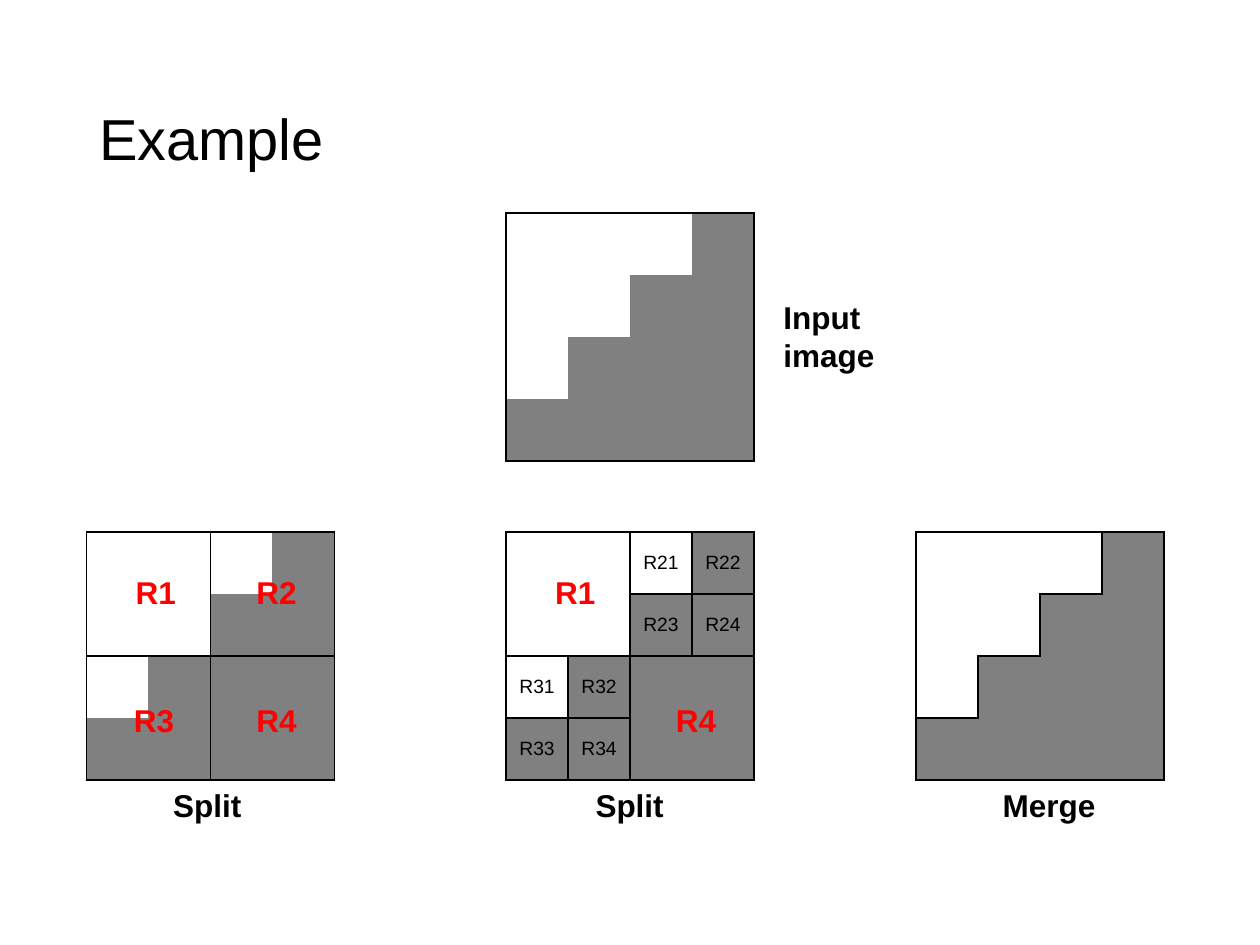
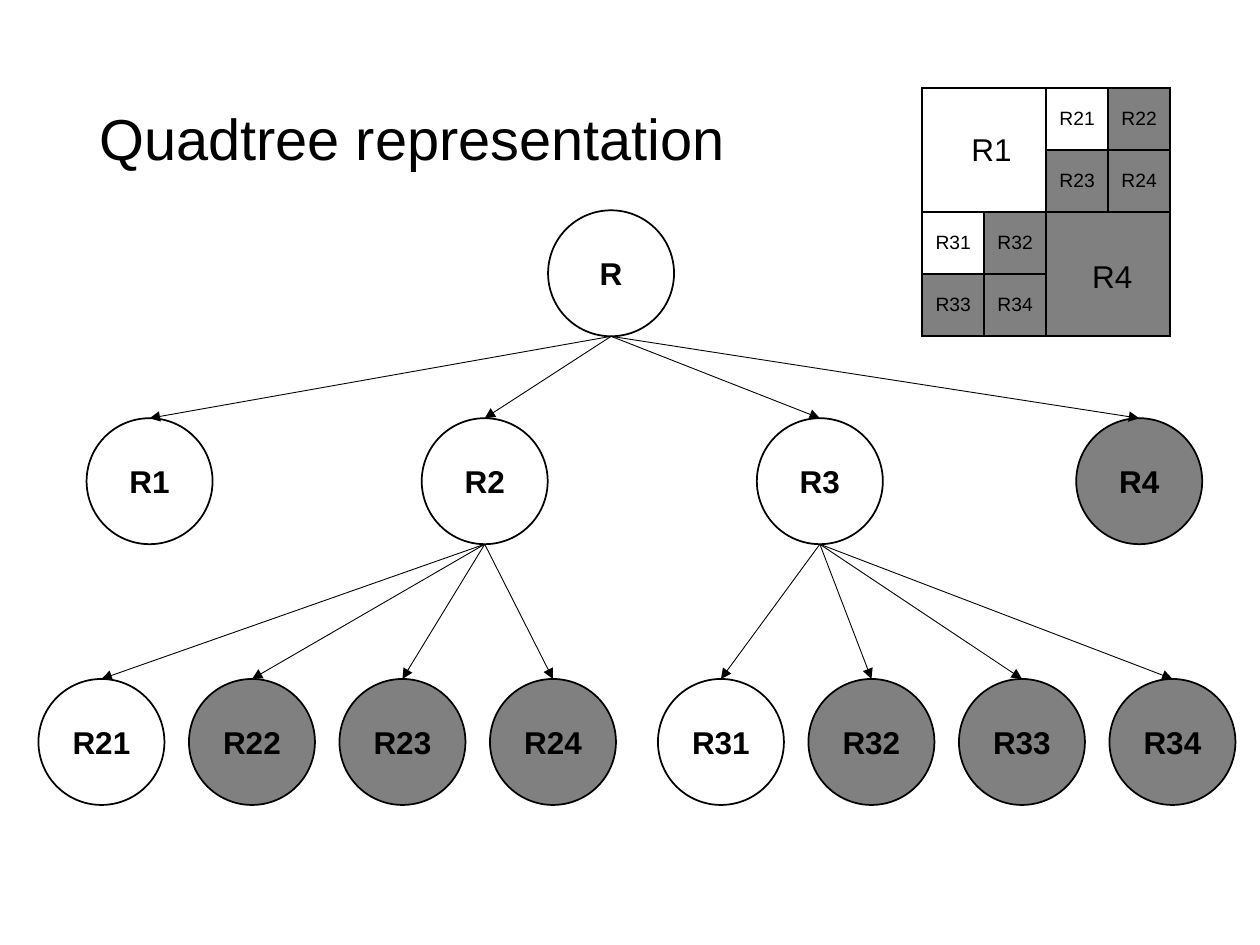
from lxml import etree
from pptx import Presentation
from pptx.dml.color import RGBColor
from pptx.enum.shapes import MSO_CONNECTOR, MSO_SHAPE
from pptx.enum.text import MSO_ANCHOR, MSO_AUTO_SIZE, PP_ALIGN
from pptx.oxml.ns import qn
from pptx.util import Pt

BLACK = RGBColor(0, 0, 0)
WHITE = RGBColor(255, 255, 255)
GRAY = RGBColor(128, 128, 128)
RED = RGBColor(255, 0, 0)

FONT = "Arial"
CELL = 35.43
CELLS = 4
NODE = 72

# Shade of each pixel, and the region each pixel belongs to at every step
SHADES = ["WWWG", "WWGG", "WGGG", "GGGG"]
WHOLE = ["RRRR"] * CELLS
QUADRANTS = [["R1", "R1", "R2", "R2"]] * 2 + [["R3", "R3", "R4", "R4"]] * 2
QUADTREE = [
    ["R1", "R1", "R21", "R22"],
    ["R1", "R1", "R23", "R24"],
    ["R31", "R32", "R4", "R4"],
    ["R33", "R34", "R4", "R4"],
]
QUADRANT_LABELS = {"R1": (21, 20.2), "R2": (90, 20.2), "R3": (20, 93), "R4": (90, 93)}

ROOT = (313.2, 120.2)
BRANCH_TOP, LEAF_TOP = 239, 388
BRANCHES = {"R1": 49.5, "R2": 241, "R3": 432.5, "R4": 615}
FIRST_LEAVES = {"R2": 22, "R3": 376}
LEAF_STEP = 86
GRAY_NODES = {"R4", "R22", "R23", "R24", "R32", "R33", "R34"}


def write(frame, text, size=18, bold=False, color=BLACK, align=PP_ALIGN.LEFT,
          anchor=MSO_ANCHOR.TOP, spacing=None):
    """Fill a text frame, one paragraph per line of text."""
    frame.text = text
    frame.vertical_anchor = anchor
    for paragraph in frame.paragraphs:
        paragraph.alignment = align
        paragraph.line_spacing = spacing
        font = paragraph.font
        font.name, font.size, font.bold = FONT, Pt(size), bold
        font.color.rgb = color


def add_label(slide, text, left, top, width, height=28.8, **style):
    frame = slide.shapes.add_textbox(Pt(left), Pt(top), Pt(width), Pt(height)).text_frame
    frame.word_wrap = False
    write(frame, text, **style)


def add_titled_slide(prs, text):
    slide = prs.slides.add_slide(prs.slide_layouts[5])
    title = slide.shapes.title
    title.left, title.top, title.width, title.height = Pt(49.5), Pt(28.8), Pt(621), Pt(104.4)
    title.text_frame.auto_size = MSO_AUTO_SIZE.NONE
    write(title.text_frame, text, size=33, anchor=MSO_ANCHOR.MIDDLE, spacing=0.9)
    return slide


def set_border(cell, side, visible):
    line = etree.SubElement(cell._tc.get_or_add_tcPr(), qn(f"a:ln{side}"),
                            w=str(Pt(1)))
    if visible:
        fill = etree.SubElement(line, qn("a:solidFill"))
        etree.SubElement(fill, qn("a:srgbClr"), val=str(BLACK))
    else:
        etree.SubElement(line, qn("a:noFill"))


def region_at(regions, row, col):
    inside = 0 <= row < CELLS and 0 <= col < CELLS
    return regions[row][col] if inside else None


def add_pixel_grid(slide, regions, left, top):
    """Draw the image as a table, with borders wherever the region changes."""
    side = Pt(CELL * CELLS)
    table = slide.shapes.add_table(CELLS, CELLS, Pt(left), Pt(top), side, side).table
    table.first_row = table.horz_banding = False
    for i in range(CELLS):
        table.columns[i].width = table.rows[i].height = Pt(CELL)
    for row, shades in enumerate(SHADES):
        for col, shade in enumerate(shades):
            cell, region = table.cell(row, col), regions[row][col]
            for edge, down, right in (("L", 0, -1), ("R", 0, 1), ("T", -1, 0), ("B", 1, 0)):
                set_border(cell, edge, region_at(regions, row + down, col + right) != region)
            cell.fill.solid()
            cell.fill.fore_color.rgb = GRAY if shade == "G" else WHITE
            cell.margin_left = cell.margin_right = 0
            cell.vertical_anchor = MSO_ANCHOR.MIDDLE
            write(cell.text_frame, region if len(region) == 3 else "", size=11,
                  align=PP_ALIGN.CENTER, anchor=None)


def add_quadrant_labels(slide, names, left, top, **style):
    for name in names:
        dx, dy = QUADRANT_LABELS[name]
        add_label(slide, name, left + dx, top + dy, 37.4, **style)


def add_node(slide, name, left, top):
    node = slide.shapes.add_shape(MSO_SHAPE.OVAL, Pt(left), Pt(top), Pt(NODE), Pt(NODE))
    node.shadow.inherit = False
    node.fill.solid()
    node.fill.fore_color.rgb = GRAY if name in GRAY_NODES else WHITE
    node.line.color.rgb = BLACK
    node.line.width = Pt(1)
    write(node.text_frame, name, bold=True, align=PP_ALIGN.CENTER, anchor=MSO_ANCHOR.MIDDLE)
    return node


def add_branch_arrow(slide, parent, child):
    middle = parent.left + parent.width // 2
    bottom = parent.top + parent.height
    arrow = slide.shapes.add_connector(MSO_CONNECTOR.STRAIGHT, middle, bottom,
                                       child.left + child.width // 2, child.top)
    arrow.end_connect(child, 0)
    arrow.line.color.rgb = BLACK
    arrow.line.width = Pt(0.5)
    etree.SubElement(arrow.line._get_or_add_ln(), qn("a:tailEnd"), type="triangle")
    etree.SubElement(arrow._element.spPr, qn("a:effectLst"))


def add_tree(slide):
    root = add_node(slide, "R", *ROOT)
    links = []
    for name, left in BRANCHES.items():
        branch = add_node(slide, name, left, BRANCH_TOP)
        links.append((root, branch))
        if name in FIRST_LEAVES:
            for i in range(4):
                leaf = add_node(slide, f"{name}{i + 1}",
                                FIRST_LEAVES[name] + i * LEAF_STEP, LEAF_TOP)
                links.append((branch, leaf))
    for parent, child in links:
        add_branch_arrow(slide, parent, child)


def build_example(prs):
    slide = add_titled_slide(prs, "Example")
    middle, top = 289.2, 304
    add_pixel_grid(slide, WHOLE, middle, 121.8)
    add_label(slide, "Input\nimage", 440.6, 167, 67, 51, bold=True)
    steps = [
        (49.4, QUADRANTS, ("R1", "R2", "R3", "R4"), "Split", 42.5, 54),
        (middle, QUADTREE, ("R1", "R4"), "Split", 44, 54),
        (523.4, SHADES, (), "Merge", 42.5, 68.4),
    ]
    for left, regions, names, caption, indent, width in steps:
        add_pixel_grid(slide, regions, left, top)
        add_quadrant_labels(slide, names, left, top, bold=True, color=RED)
        add_label(slide, caption, left + indent, top + CELL * CELLS, width, bold=True)


def build_quadtree(prs):
    slide = add_titled_slide(prs, "Quadtree representation")
    add_tree(slide)
    left, top = 527, 50.3
    add_pixel_grid(slide, QUADTREE, left, top)
    add_quadrant_labels(slide, ("R1", "R4"), left, top)


def main():
    prs = Presentation()
    prs.slide_width, prs.slide_height = Pt(720), Pt(540)
    build_example(prs)
    build_quadtree(prs)
    prs.save("out.pptx")


if __name__ == "__main__":
    main()
